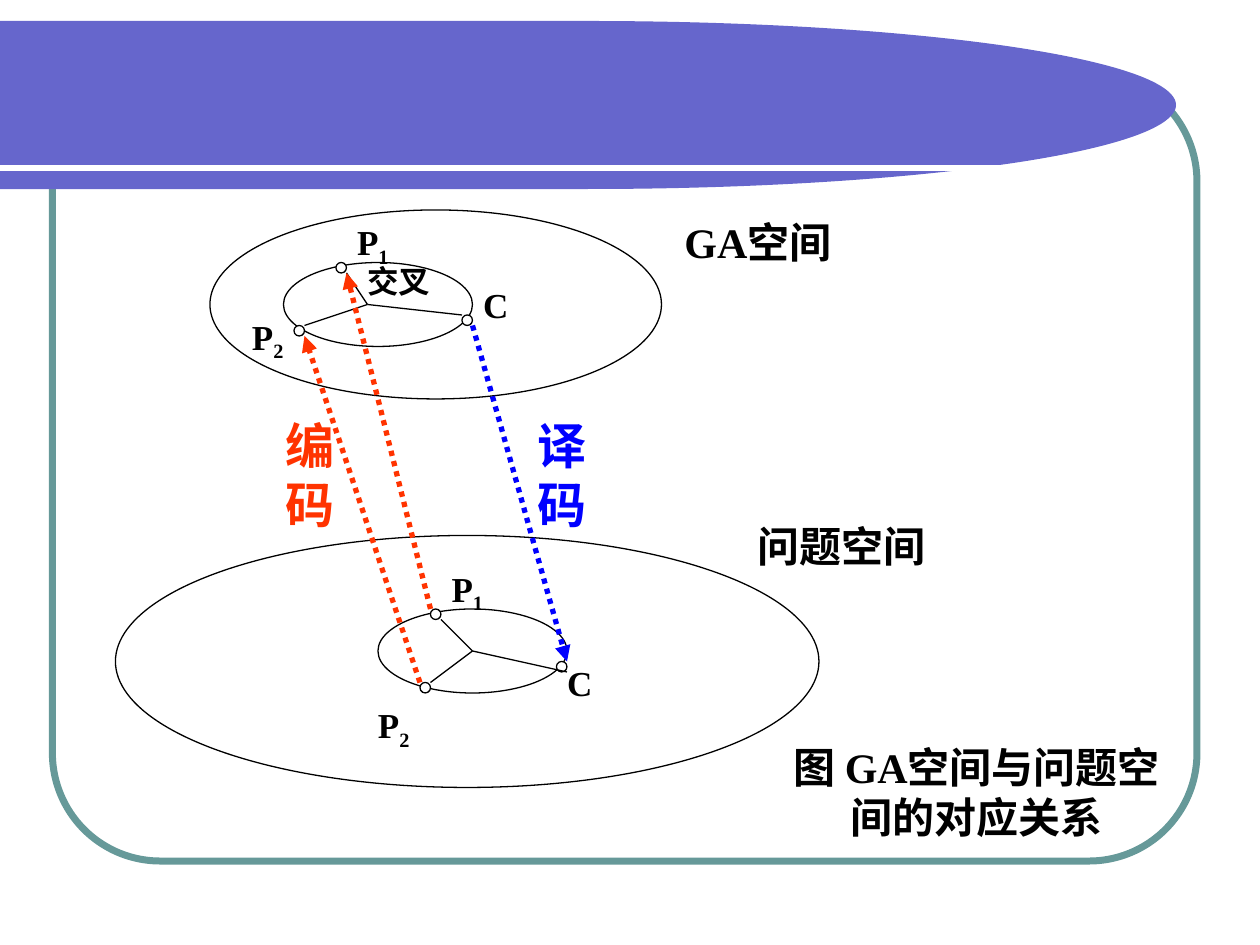
"""Build a slide relating the GA space to the problem space by encoding and decoding."""
from lxml import etree
from pptx import Presentation
from pptx.dml.color import RGBColor
from pptx.enum.dml import MSO_LINE
from pptx.enum.shapes import MSO_CONNECTOR, MSO_SHAPE
from pptx.enum.text import MSO_AUTO_SIZE, PP_ALIGN
from pptx.oxml.ns import qn
from pptx.util import Pt

ELLIPSE = MSO_SHAPE.OVAL
FRAME = MSO_SHAPE.ROUNDED_RECTANGLE
BANNER = MSO_SHAPE.FLOWCHART_DELAY
STRAIGHT = MSO_CONNECTOR.STRAIGHT
DOTTED = MSO_LINE.ROUND_DOT
FIT = MSO_AUTO_SIZE.SHAPE_TO_FIT_TEXT
LEFT, CENTER = PP_ALIGN.LEFT, PP_ALIGN.CENTER

FONT = "Times New Roman"
COLORS = {"ink": "000000", "paper": "FFFFFF", "frame": "669999",
          "banner": "6666CC", "encode": "FF3300", "decode": "0000FF"}
DOT = 6

GA_SPACE = {
    "outer": (120, 120, 258, 108),
    "inner": (162, 150, 108, 48),
    "dots": [(192, 150), (264, 180), (168, 186)],
    "hub": (210, 174),
    "spokes": [(198, 156), (174, 186), (264, 180)],
    "labels": [("P", "1", 204, 126, 24), ("P", "2", 144, 180, 30), ("C", "", 276, 162, 24)],
}
PROBLEM_SPACE = {
    "outer": (66, 306, 402, 144),
    "inner": (216, 348, 108, 48),
    "dots": [(240, 390), (246, 348), (318, 378)],
    "hub": (270, 372),
    "spokes": [(252, 354), (246, 390), (324, 384)],
    "labels": [("P", "2", 216, 402, 30), ("P", "1", 258, 324, 24), ("C", "", 324, 378, 24)],
}
MAPPINGS = [((240, 390), (174, 192), "encode"),
            ((246, 348), (198, 156), "encode"),
            ((270, 186), (324, 378), "decode")]


def rgb(name):
    return RGBColor.from_string(COLORS[name])


def add_outline(slide, preset, box, fill=None, line=None, width=0.75):
    shape = slide.shapes.add_shape(preset, *map(Pt, box))
    shape.shadow.inherit = False
    if fill:
        shape.fill.solid()
        shape.fill.fore_color.rgb = rgb(fill)
    else:
        shape.fill.background()
    if line:
        shape.line.color.rgb = rgb(line)
        shape.line.width = Pt(width)
    else:
        shape.line.fill.background()
    return shape


def add_line(slide, start, end, color="ink", width=0.75, arrow=False):
    link = slide.shapes.add_connector(STRAIGHT, *map(Pt, start + end))
    link.line.color.rgb = rgb(color)
    link.line.width = Pt(width)
    if arrow:
        link.line.dash_style = DOTTED
        etree.SubElement(link.line._get_or_add_ln(), qn("a:tailEnd"), type="triangle")
    etree.SubElement(link._element.spPr, qn("a:effectLst"))


def add_text(slide, text, box, size=24, color="ink", align=LEFT, inset=(7.2, 3.6), subscript=""):
    frame = slide.shapes.add_textbox(*map(Pt, box)).text_frame
    frame.word_wrap = True
    frame.auto_size = FIT
    frame.margin_left = frame.margin_right = Pt(inset[0])
    frame.margin_top = frame.margin_bottom = Pt(inset[1])
    paragraph = frame.paragraphs[0]
    paragraph.alignment = align
    for part in filter(None, (text, subscript)):
        run = paragraph.add_run()
        run.text = part
        run.font.name = FONT
        run.font.size = Pt(size)
        run.font.bold = True
        run.font.color.rgb = rgb(color)
    if subscript:
        run.font._element.set("baseline", "-25000")


def add_space(slide, space):
    for ring in ("outer", "inner"):
        add_outline(slide, ELLIPSE, space[ring], line="ink")
    for left, top in space["dots"]:
        add_outline(slide, ELLIPSE, (left, top, DOT, DOT), fill="paper", line="ink")
    for letter, index, left, top, width in space["labels"]:
        add_text(slide, letter, (left, top, width, 27 if index else 24),
                 size=20, inset=(0, 0), subscript=index)
    for tip in space["spokes"]:
        add_line(slide, space["hub"], tip)


def add_backdrop(slide):
    frame = add_outline(slide, FRAME, (30, 42, 654, 450), line="frame", width=4)
    frame.adjustments[0] = 0.137
    add_outline(slide, BANNER, (0, 12, 672, 96), fill="banner")
    add_line(slide, (0, 96), (636, 96), color="paper", width=3)


def main():
    deck = Presentation()
    deck.slide_width, deck.slide_height = Pt(720), Pt(540)
    slide = deck.slides.add_slide(deck.slide_layouts[6])
    add_backdrop(slide)
    add_text(slide, "图 GA空间与问题空间的对应关系", (438, 420, 240, 65), align=CENTER)
    for space in (PROBLEM_SPACE, GA_SPACE):
        add_space(slide, space)
    add_text(slide, "交叉", (210, 150, 42, 22), size=18, inset=(0, 0))
    for start, end, color in MAPPINGS:
        add_line(slide, start, end, color=color, width=3, arrow=True)
    add_text(slide, "GA空间", (384, 120, 102, 65))
    add_text(slide, "问题空间", (426, 294, 120, 36))
    add_text(slide, "编码", (156, 234, 36, 75), size=28, color="encode")
    add_text(slide, "译码", (300, 234, 36, 75), size=28, color="decode")
    deck.save("out.pptx")


if __name__ == "__main__":
    main()
